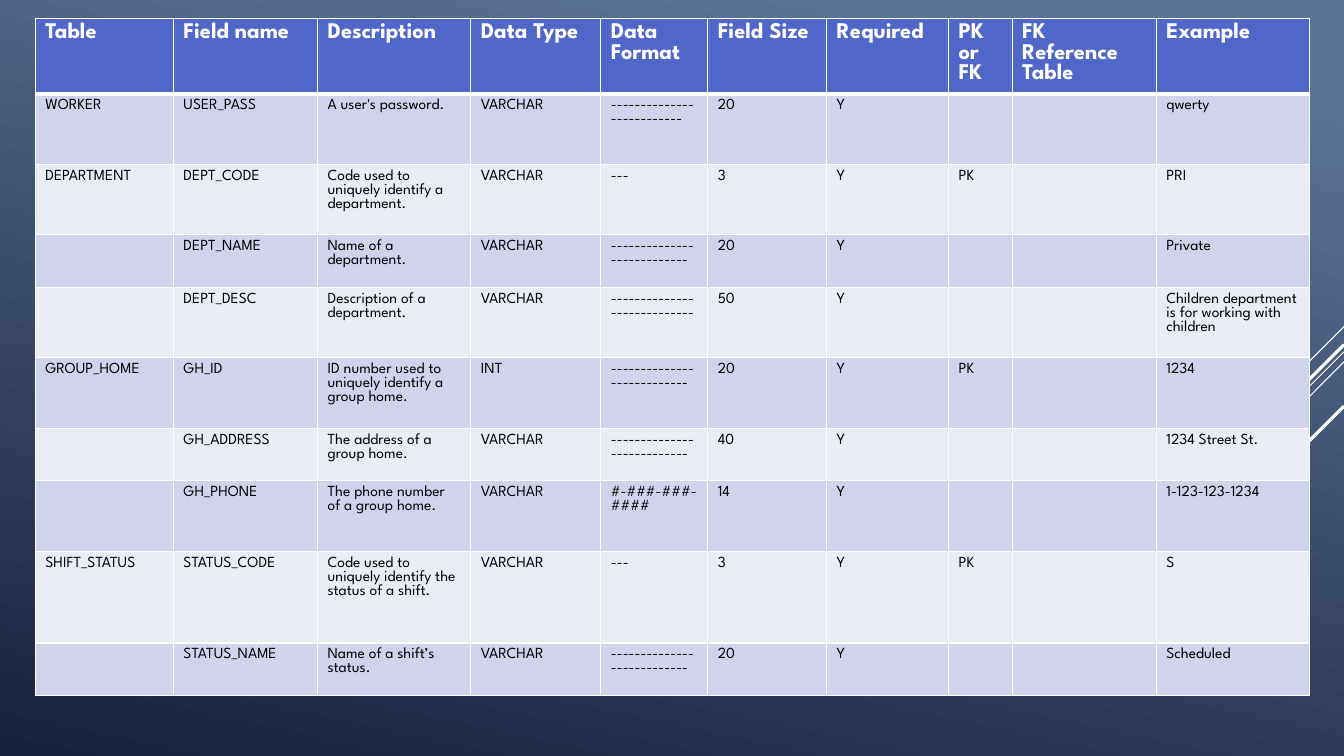
"""Builds a data dictionary slide: one banded table over a gradient with diagonal accent lines."""
import lxml.etree
import pptx
import pptx.dml.color
import pptx.enum.shapes
import pptx.oxml.ns
import pptx.util

Inches = pptx.util.Inches
Pt = pptx.util.Pt
qn = pptx.oxml.ns.qn


def colour(hex_string):
    return pptx.dml.color.RGBColor.from_string(hex_string)


def add_border(cell, position, side, points):
    border = lxml.etree.Element(qn(f"a:{side}"), w=str(Pt(points)))
    fill = lxml.etree.SubElement(border, qn("a:solidFill"))
    lxml.etree.SubElement(fill, qn("a:srgbClr"), val="FFFFFF")
    cell._tc.get_or_add_tcPr().insert(position, border)


presentation = pptx.Presentation()
presentation.slide_width = Inches(13.33)
presentation.slide_height = Inches(7.5)
slide = presentation.slides.add_slide(presentation.slide_layouts[6])

backdrop = slide.background.fill
backdrop.gradient()
backdrop.gradient_angle = 360 - 102
for stop, position, shade in zip(backdrop.gradient_stops, (0.1, 1), ("597496", "1A2040")):
    stop.position = position
    stop.color.rgb = colour(shade)

accent_lines = [
    (3.24, 12.33, 4.24, 0.75),
    (3.49, 10.07, 6.75, 0.75),
    (3.59, 11.26, 5.67, 0.75),
    (3.42, 11.42, 5.33, 2.25),
    (4.03, 11.94, 5.42, 2.25),
]
for start_y, end_x, end_y, weight in accent_lines:
    accent = slide.shapes.add_connector(
        pptx.enum.shapes.MSO_CONNECTOR.STRAIGHT,
        Inches(13.33), Inches(start_y), Inches(end_x), Inches(end_y))
    accent.line.color.rgb = colour("FFFFFF")
    accent.line.width = Pt(weight)
    lxml.etree.SubElement(accent._element.spPr, qn("a:effectLst"))

headings = ["Table", "Field name", "Description", "Data Type", "Data Format",
            "Field Size", "Required", "PK or FK", "FK Reference Table", "Example"]
fields = [
    ("WORKER", "USER_PASS", "A user's password.", "VARCHAR", "-" * 26, "20", "", "qwerty"),
    ("DEPARTMENT", "DEPT_CODE", "Code used to uniquely identify a department.",
     "VARCHAR", "---", "3", "PK", "PRI"),
    ("", "DEPT_NAME", "Name of a department.", "VARCHAR", "-" * 27, "20", "", "Private"),
    ("", "DEPT_DESC", "Description of a department.", "VARCHAR", "-" * 28, "50", "",
     "Children department is for working with children"),
    ("GROUP_HOME", "GH_ID", "ID number used to uniquely identify a group home.",
     "INT", "-" * 27, "20", "PK", "1234"),
    ("", "GH_ADDRESS", "The address of a group home.", "VARCHAR", "-" * 27, "40", "",
     "1234 Street St."),
    ("", "GH_PHONE", "The phone number of a group home.", "VARCHAR", "#-###-###-####", "14", "",
     "1-123-123-1234"),
    ("SHIFT_STATUS", "STATUS_CODE", "Code used to uniquely identify the status of a shift.",
     "VARCHAR", "---", "3", "PK", "S"),
    ("", "STATUS_NAME", "Name of a shift’s status.", "VARCHAR", "-" * 27, "20", "", "Scheduled"),
]
entries = [headings]
for *details, key, example in fields:
    entries.append([*details, "Y", key, "", example])

column_widths = [1.37, 1.43, 1.52, 1.29, 1.06, 1.18, 1.21, 0.63, 1.43, 1.52]
row_heights = [0.75, 0.7, 0.7, 0.52, 0.7, 0.7, 0.52, 0.7, 0.91, 0.52]
dictionary = slide.shapes.add_table(
    len(entries), len(headings), Inches(0.35), Inches(0.18),
    Inches(sum(column_widths)), Inches(sum(row_heights))).table
for column, width in zip(dictionary.columns, column_widths):
    column.width = Inches(width)

for row_number, (row, height, entry) in enumerate(zip(dictionary.rows, row_heights, entries)):
    row.height = Inches(height)
    is_heading = row_number == 0
    band = "4E67C8" if is_heading else ("E9EBF5", "D0D3EB")[row_number % 2]
    border_widths = {"lnL": 1, "lnR": 1, "lnT": 3 if row_number == 1 else 1,
                     "lnB": 3 if is_heading else 1}
    for cell, wording in zip(row.cells, entry):
        cell.fill.solid()
        cell.fill.fore_color.rgb = colour(band)
        for position, (side, points) in enumerate(border_widths.items()):
            add_border(cell, position, side, points)
        cell.text_frame.text = wording
        for run in cell.text_frame.paragraphs[0].runs:
            run.font.name = "League Spartan"
            run.font.size = Pt(16 if is_heading else 11)
            run.font.bold = is_heading
            run.font.color.rgb = colour("FFFFFF" if is_heading else "000000")

presentation.save("out.pptx")
